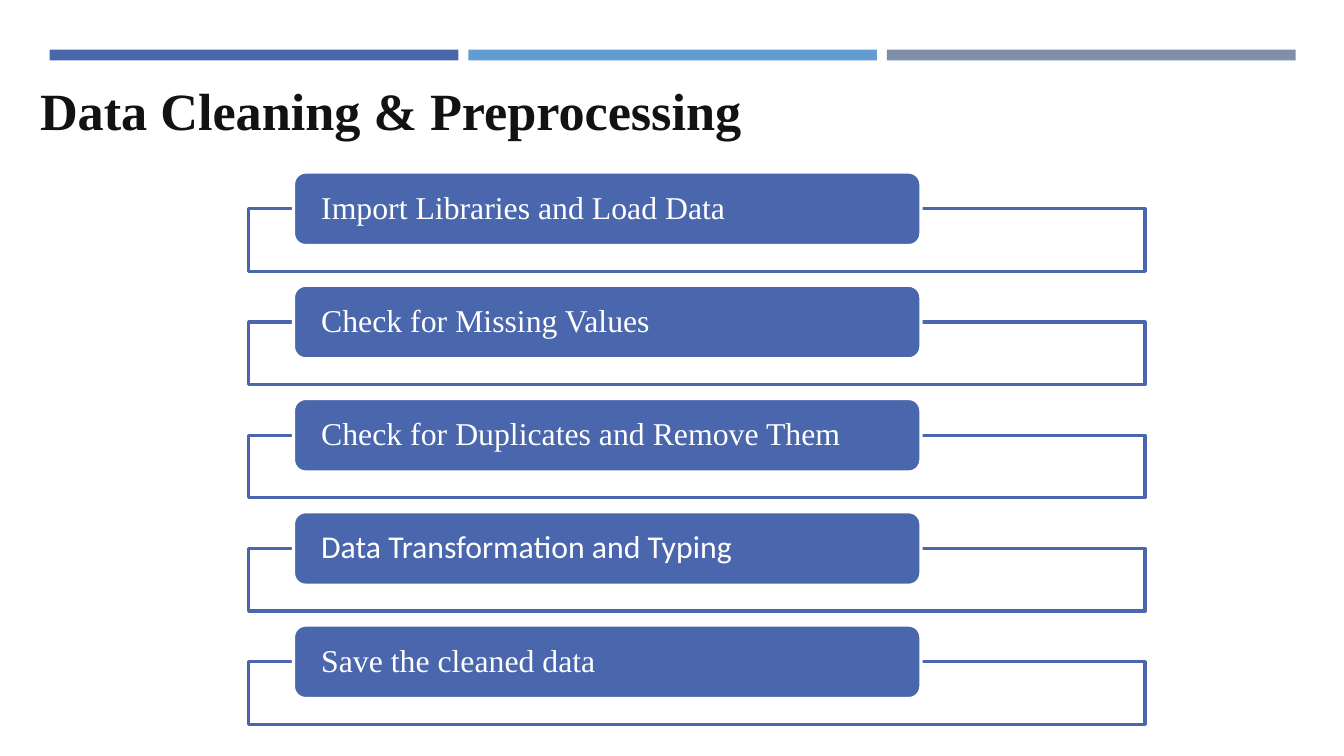
from lxml import etree
from pptx import Presentation
from pptx import util as u
from pptx.dml.color import RGBColor
from pptx.enum import shapes, text
from pptx.oxml.ns import qn

WIDTH = 10
HEIGHT = WIDTH * 9 / 16
COLORS = {
    "blue": "4A66AC",
    "sky": "629DD1",
    "slate": "7F8FA9",
    "ink": "121212",
    "white": "FFFFFF",
}
SERIF, SANS = "Times New Roman", "Calibri"
STEPS = [
    ("Import Libraries and Load Data", SERIF),
    ("Check for Missing Values", SERIF),
    ("Check for Duplicates and Remove Them", SERIF),
    ("Data Transformation and Typing", SANS),
    ("Save the cleaned data", SERIF),
]


def rgb(name):
    return RGBColor.from_string(COLORS[name])


def add_block(slide, kind, box, fill, line=None):
    sp = slide.shapes.add_shape(kind, *(u.Inches(v) for v in box))
    sp.shadow.inherit = False
    sp.fill.solid()
    sp.fill.fore_color.rgb = rgb(fill)
    if line:
        sp.line.color.rgb = rgb(line)
        sp.line.width = u.Pt(1.75)
    else:
        sp.line.fill.background()
    return sp


def set_text(sp, content, color, frame, font):
    tf = sp.text_frame
    for key, value in frame.items():
        setattr(tf, key, value)
    p = tf.paragraphs[0]
    p.alignment = text.PP_ALIGN.LEFT
    r = p.add_run()
    r.text = content
    r.font.color.rgb = rgb(color)
    for key, value in font.items():
        setattr(r.font, key, value)
    return p


def add_header_bars(slide, box):
    x, y, w, h = box
    names = ["blue", "sky", "slate"]
    gap = w * 0.008
    bar = (w - gap * (len(names) - 1)) / len(names)
    for i, name in enumerate(names):
        add_block(slide, shapes.MSO_SHAPE.RECTANGLE,
                  (x + i * (bar + gap), y, bar, h), name)


def add_title(slide, box, content):
    sp = slide.shapes.add_textbox(*(u.Inches(v) for v in box))
    set_text(sp, content, "ink",
             {"word_wrap": True,
              "auto_size": text.MSO_AUTO_SIZE.SHAPE_TO_FIT_TEXT},
             {"size": u.Pt(28), "name": SERIF, "bold": True})


def add_step(slide, box, content, face):
    x, y, w, h = box
    # Outlined frame behind the label
    frame = add_block(slide, shapes.MSO_SHAPE.RECTANGLE,
                      (x, y + h * 0.37, w, h * 0.63), "white", "blue")
    fill_color = next(frame.element.spPr.iter(qn("a:srgbClr")))
    etree.SubElement(fill_color, qn("a:alpha"), val="90000")
    # Rounded label, 70% of the frame's width
    label = add_block(slide, shapes.MSO_SHAPE.ROUNDED_RECTANGLE,
                      (x + w * 0.05, y, w * 0.7, h * 0.74), "blue", "white")
    p = set_text(label, content, "white",
                 {"word_wrap": True,
                  "vertical_anchor": text.MSO_ANCHOR.MIDDLE,
                  "margin_left": u.Inches(0.18),
                  "margin_right": u.Inches(0.18),
                  "margin_top": 0, "margin_bottom": 0},
                 {"size": u.Pt(17), "name": face})
    p.line_spacing = 0.9


def add_step_list(slide, box, steps):
    x, y, w, h = box
    step_h = h * 0.18
    pitch = (h - step_h) / (len(steps) - 1)
    for i, (content, face) in enumerate(steps):
        add_step(slide, (x, y + i * pitch, w, step_h), content, face)


def main():
    prs = Presentation()
    prs.slide_width, prs.slide_height = u.Inches(WIDTH), u.Inches(HEIGHT)
    slide = prs.slides.add_slide(prs.slide_layouts[6])
    add_header_bars(slide, (0.37, 0.37, 9.27, 0.08))
    add_title(slide, (WIDTH * 0.02, 0.53, WIDTH * 0.8, 0.44),
              "Data Cleaning & Preprocessing")
    add_step_list(slide, (1.85, 1.28, 6.67, 4.11), STEPS)
    prs.save("out.pptx")


if __name__ == "__main__":
    main()
